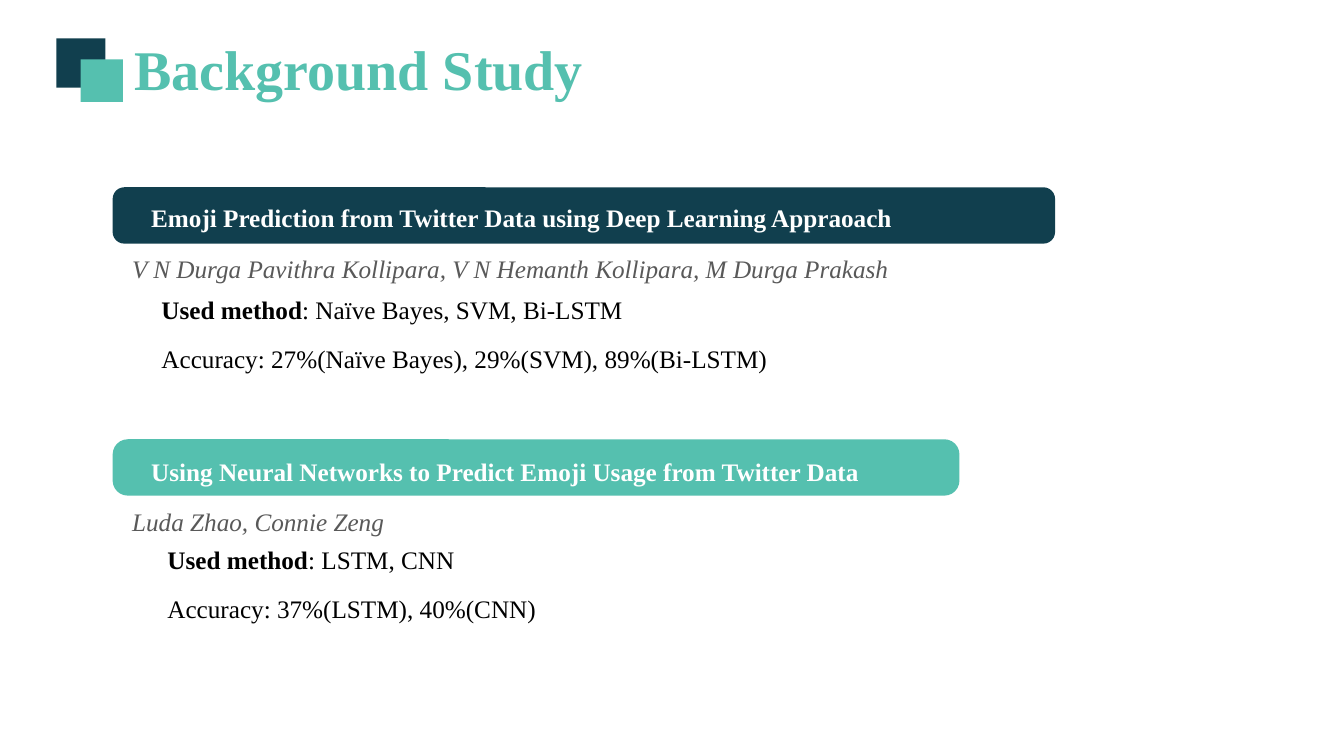
from pptx import Presentation
from pptx.dml.color import RGBColor
from pptx.enum import shapes, text
from pptx.util import Cm, Pt

NAVY = RGBColor(0x11, 0x3F, 0x4E)
TEAL = RGBColor(0x55, 0xC0, 0xAF)
WHITE = RGBColor(0xFF, 0xFF, 0xFF)
GREY = RGBColor(0x59, 0x59, 0x59)
BLACK = RGBColor(0, 0, 0)
RECT = shapes.MSO_SHAPE.RECTANGLE
ROUNDED = shapes.MSO_SHAPE.ROUNDED_RECTANGLE
JUSTIFY = text.PP_ALIGN.JUSTIFY

STUDIES = [
    dict(color=NAVY, bar=(2.84, 4.72, 23.75, 1.42), corner=0.206,
         label=(3.81, 4.95, 20.93, 0.91),
         name="Emoji Prediction from Twitter Data using Deep Learning Appraoach",
         authors="V N Durga Pavithra Kollipara, V N Hemanth Kollipara, M Durga Prakash",
         authors_top=6.22,
         method=": Naïve Bayes, SVM, Bi-LSTM", method_box=(3.18, 7.29, 25.3, 1.02),
         accuracy="Accuracy: 27%(Naïve Bayes), 29%(SVM), 89%(Bi-LSTM)",
         accuracy_box=(3.18, 8.51, 21.56, 1.8)),
    dict(color=TEAL, bar=(2.84, 11.07, 21.34, 1.42), corner=0.268,
         label=(3.81, 11.35, 19.35, 0.91),
         name="Using Neural Networks to Predict Emoji Usage from Twitter Data",
         authors="Luda Zhao, Connie Zeng", authors_top=12.6,
         method=": LSTM, CNN", method_box=(3.33, 13.59, 25.3, 1.02),
         accuracy="Accuracy: 37%(LSTM), 40%(CNN)",
         accuracy_box=(3.33, 14.83, 22.91, 1.02)),
]


def add_block(slide, kind, box, color):
    """Add a filled shape without outline or shadow."""
    sp = slide.shapes.add_shape(kind, *map(Cm, box))
    sp.shadow.inherit = False
    sp.fill.solid()
    sp.fill.fore_color.rgb = color
    sp.line.fill.background()
    return sp


def add_box(slide, box):
    """Add an empty text box."""
    return slide.shapes.add_textbox(*map(Cm, box))


def write(sp, runs, color, size=18, bold=False, italic=False,
          align=text.PP_ALIGN.LEFT, spacing=None, insets=(0, 0, 0, 0)):
    """Write one paragraph of (text, bold) runs into a shape."""
    tf = sp.text_frame
    tf.word_wrap = True
    tf.vertical_anchor = text.MSO_ANCHOR.TOP
    tf.margin_left, tf.margin_top, tf.margin_right, tf.margin_bottom = map(Cm, insets)
    p = tf.paragraphs[0]
    p.alignment = align
    p.line_spacing = spacing
    p.font.name = "Times New Roman"
    p.font.size = Pt(size)
    p.font.bold = bold
    p.font.italic = italic
    p.font.color.rgb = color
    for content, run_bold in runs:
        r = p.add_run()
        r.text = content
        if run_bold != bold:
            r.font.bold = run_bold


def add_title(slide):
    """Add the two overlapping squares and the slide title."""
    add_block(slide, RECT, (1.42, 0.97, 1.24, 1.24), NAVY)
    add_block(slide, RECT, (2.03, 1.5, 1.07, 1.07), TEAL)
    write(add_box(slide, (3.07, 0.74, 11.94, 1.96)), [("Background Study", True)],
          TEAL, size=40, bold=True, align=text.PP_ALIGN.CENTER,
          insets=(0.25, 0.13, 0.25, 0.13))


def add_study(slide, study):
    """Add a paper's heading bar, authors, method and accuracy."""
    bar = add_block(slide, ROUNDED, study["bar"], study["color"])
    bar.adjustments[0] = study["corner"]
    write(add_block(slide, RECT, study["label"], study["color"]),
          [(study["name"], True)], WHITE, bold=True, align=JUSTIFY, spacing=1.2)
    write(add_box(slide, (3.33, study["authors_top"], 28.96, 0.91)),
          [(study["authors"], False)], GREY, italic=True, align=JUSTIFY, spacing=1.2)
    indented = (0.89, 0.13, 0.25, 0.13)
    write(add_box(slide, study["method_box"]),
          [("Used method", True), (study["method"], False)], BLACK, insets=indented)
    write(add_box(slide, study["accuracy_box"]),
          [(study["accuracy"], False)], BLACK, insets=indented)


def main():
    """Build and save the slide."""
    prs = Presentation()
    prs.slide_width, prs.slide_height = Cm(33.87), Cm(19.05)
    slide = prs.slides.add_slide(prs.slide_layouts[6])
    add_title(slide)
    for study in STUDIES:
        add_study(slide, study)
    prs.save("out.pptx")


if __name__ == "__main__":
    main()
